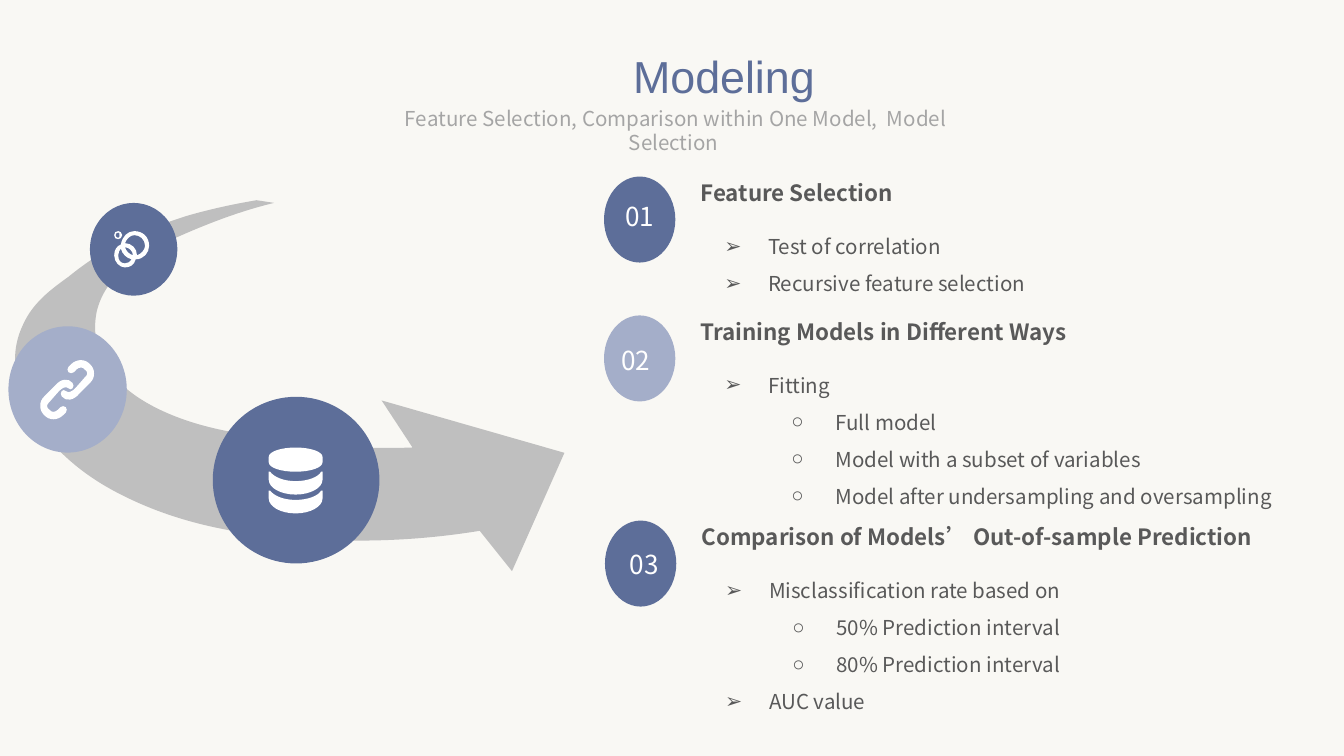
from pptx import Presentation
from pptx.dml.color import RGBColor as Rgb
from pptx.enum.shapes import MSO_SHAPE as Kind
from pptx.enum.text import MSO_AUTO_SIZE as Fit, PP_ALIGN as Align
from pptx.oxml.ns import qn
from pptx.oxml.xmlchemy import OxmlElement as Node
from pptx.util import Pt

HUES = {"back": "F9F8F4", "navy": "5D6E99", "pale": "A4AEC9", "band": "BFBFBF",
        "ink": "595959", "dim": "A5A5A5", "white": "FFFFFF"}
UNIT = Pt(0.72)
SANS = "Noto Sans CJK SC"

ARROW = [[(191, 149), (204, 151), (175, 158, 148, 169, 122, 181), (101, 192, 78, 206, 72, 232),
          (62, 283, 117, 311, 170, 321), (192, 325, 215, 329, 237, 331),
          (260, 333, 283, 334, 307, 333), (284, 298), (420, 337), (381, 425), (357, 395),
          (308, 403, 261, 404, 214, 400), (172, 397, 129, 388, 90, 368),
          (66, 356, 44, 339, 28, 316), (13, 295, 5, 267, 17, 242),
          (24, 226, 37, 216, 51, 206), (62, 197, 74, 189, 86, 182),
          (102, 173, 120, 167, 138, 161), (155, 156, 173, 152, 191, 149)]]
HOOK = [(45, 303), (43, 305), (41, 307, 38, 307, 37, 305), (36, 305, 35, 303, 35, 302),
        (35, 301, 36, 300, 37, 299), (44, 291), (46, 289, 49, 287, 51, 289),
        (52, 290, 53, 290, 54, 289), (55, 288, 55, 286, 54, 285),
        (51, 281, 45, 282, 41, 287), (33, 295), (31, 297, 30, 299, 30, 302),
        (30, 305, 31, 307, 33, 309), (35, 311, 37, 312, 40, 312),
        (42, 312, 45, 311, 47, 309), (49, 307), (50, 306, 50, 304, 49, 303),
        (48, 302, 46, 302, 45, 303)]
TURN = [tuple((580 if i % 2 else 100) - n for i, n in enumerate(step)) for step in HOOK]
LID = [(220, 333), (209, 333, 200, 336, 200, 340), (200, 344), (200, 348, 209, 351, 220, 351),
       (231, 351, 240, 348, 240, 344), (240, 340), (240, 336, 231, 333, 220, 333)]
RINGS = [
    [(100, 172), (95, 172, 91, 176, 90, 182), (87, 183, 85, 186, 85, 190),
     (85, 195, 89, 199, 93, 199), (97, 199, 100, 197, 101, 193),
     (107, 193, 111, 188, 111, 183), (111, 176, 106, 172, 100, 172)],
    [(93, 196), (90, 196, 88, 194, 88, 190), (88, 188, 89, 186, 90, 185),
     (91, 189, 94, 192, 98, 193), (97, 195, 95, 196, 93, 196)],
    [(93, 184), (96, 184, 99, 187, 99, 190), (96, 189, 94, 187, 93, 184)],
    [(102, 190), (102, 185, 98, 181, 93, 181), (94, 178, 97, 175, 100, 175),
     (104, 175, 108, 178, 108, 183), (108, 186, 105, 189, 102, 190)],
    [(88, 178), (89, 178, 91, 177, 91, 175), (91, 173, 89, 172, 88, 172),
     (86, 172, 85, 173, 85, 175), (85, 177, 86, 178, 88, 178)],
    [(88, 173), (89, 173, 89, 174, 89, 175), (89, 176, 89, 177, 88, 177),
     (87, 177, 86, 176, 86, 175), (86, 174, 87, 173, 88, 173)]]


def layer(top):
    """Return one curved layer of the data store."""
    return [(239, top), (237, top + 4, 229, top + 7, 220, top + 7),
            (211, top + 7, 204, top + 4, 201, top), (201, top, 200, top, 200, top),
            (200, top + 6), (200, top + 12, 209, top + 17, 220, top + 17),
            (231, top + 17, 240, top + 12, 240, top + 6), (240, top),
            (240, top, 240, top, 239, top)]


class Board:
    """Hold the style and the current slide."""

    def __init__(self, deck):
        """Add a blank slide with the plain back colour."""
        self.slide = deck.slides.add_slide(deck.slide_layouts[6])
        self.shapes = self.slide.shapes
        self.paint(self.slide.background.fill, "back")

    def paint(self, fill, hue):
        """Fill with a named colour."""
        fill.solid()
        fill.fore_color.rgb = Rgb.from_string(HUES[hue])

    def finish(self, shape, hue):
        """Give a shape a flat fill without line or shadow."""
        self.paint(shape.fill, hue)
        shape.line.fill.background()
        shape.shadow.inherit = False

    def disc(self, x, y, w, h, hue):
        """Draw a filled ellipse."""
        self.finish(self.shapes.add_shape(Kind.OVAL, Pt(x), Pt(y), Pt(w), Pt(h)), hue)

    def curve(self, loops, hue):
        """Draw closed outlines of lines and cubic curves as one shape."""
        ends = [[step[-2:] for step in loop] for loop in loops]
        pen = self.shapes.build_freeform(*ends[0][0], scale=UNIT)
        for n, spots in enumerate(ends):
            if n:
                pen.move_to(*spots[0])
            pen.add_line_segments(spots[1:], close=True)
        shape = pen.convert_to_shape()
        base = [min(spot[i] for spots in ends for spot in spots) for i in (0, 1)]
        steps = [step for loop in loops for step in loop[1:]]
        for node, step in zip(list(shape._element.iter(qn("a:lnTo"))), steps):
            if len(step) == 6:
                node.tag = qn("a:cubicBezTo")
                for i in (0, 1):
                    spot = Node("a:pt")
                    spot.set("x", str(step[2 * i] - base[0]))
                    spot.set("y", str(step[2 * i + 1] - base[1]))
                    node.insert(i, spot)
        self.finish(shape, hue)

    def style(self, para, size, hue, bold=False, face=SANS):
        """Set the font of every run in a paragraph."""
        for run in para.runs:
            font = run.font
            font.size, font.bold, font.name = Pt(size), bold, face
            font.color.rgb = Rgb.from_string(HUES[hue])
            east = Node("a:ea")
            east.set("typeface", face)
            font._element.append(east)

    def frame(self, x, y, w, h, inset):
        """Add a wrapping text box and return its frame."""
        frame = self.shapes.add_textbox(Pt(x), Pt(y), Pt(w), Pt(h)).text_frame
        frame.word_wrap, frame.auto_size = True, Fit.SHAPE_TO_FIT_TEXT
        frame.margin_left = frame.margin_right = Pt(5 if inset else 0)
        frame.margin_top = frame.margin_bottom = Pt(2.7 if inset else 0)
        return frame

    def label(self, x, y, w, h, text, size, hue, face=SANS, space=None):
        """Write a centred line."""
        frame = self.frame(x, y, w, h, True)
        frame.text = text
        para = frame.paragraphs[0]
        para.alignment, para.line_spacing = Align.CENTER, space
        self.style(para, size, hue, face=face)

    def heading(self, x, y, w, text):
        """Write a bold heading."""
        frame = self.frame(x, y, w, 14.4, False)
        frame.text = text
        self.style(frame.paragraphs[0], 12, "ink", True)

    def points(self, x, y, w, items):
        """Write a two-level bullet list."""
        frame = self.frame(x, y, w, 19.8 * len(items), False)
        frame.text = "\n".join(text for _, text in items)
        for para, (level, _) in zip(frame.paragraphs, items):
            para.level, para.line_spacing = level, 1.5
            self.style(para, 11, "ink")
            props = para._p.get_or_add_pPr()
            props.set("marL", str(Pt(36 * (level + 1))))
            props.set("indent", str(Pt(-23.5)))
            tint, hue, face, mark = [Node(f"a:{tag}") for tag in ("buClr", "srgbClr", "buFont", "buChar")]
            hue.set("val", HUES["ink"])
            tint.append(hue)
            face.set("typeface", "Arial")
            mark.set("char", "➢○"[level])
            props.extend([tint, face, mark])


PARTS = [
    ("01", 375.3, 95.8, (326.2, 104.4), (236.2, 126.7), "navy", "Feature Selection",
     [(0, "Test of correlation"), (0, "Recursive feature selection")]),
    ("02", 375.3, 170.2, (324.2, 181.6), (324.7, 273.6), "pale", "Training Models in Different Ways",
     [(0, "Fitting"), (1, "Full model"), (1, "Model with a subset of variables"),
      (1, "Model after undersampling and oversampling")]),
    ("03", 375.8, 280.1, (328.5, 290.9), (236.2, 301), "navy",
     "Comparison of Models’ Out-of-sample Prediction",
     [(0, "Misclassification rate based on"), (1, "50% Prediction interval"),
      (1, "80% Prediction interval"), (0, "AUC value")]),
]


def main():
    """Build and save the slide."""
    deck = Presentation()
    deck.slide_width, deck.slide_height = Pt(720), Pt(405)
    board = Board(deck)
    board.label(198.5, 54, 324.7, 18.7,
                " Feature Selection, Comparison within One Model,  Model Selection", 11, "dim")
    board.label(192, 17.7, 391.7, 34.6, "Modeling", 24, "navy", "Arial", 1.2)
    for mark, x, y, spot, (wide, span), hue, title, items in PARTS:
        board.heading(x, y, span, title)
        board.points(x + 0.2, y + 22.8, wide, items)
        board.disc(x - 51.7, y - 1.2, 38.2, 46.1, hue)
        board.label(*spot, 33.1, 22.3, mark, 14, "white")
    board.curve(ARROW, "band")
    board.disc(4.5, 174.8, 63.4, 67.7, "pale")
    board.curve([HOOK, TURN], "white")
    board.disc(114, 212.6, 89.3, 89.3, "navy")
    board.curve([layer(365), layer(351), LID], "white")
    board.disc(48.2, 108.7, 46.8, 49.7, "navy")
    board.curve(RINGS, "white")
    deck.save("out.pptx")


if __name__ == "__main__":
    main()
